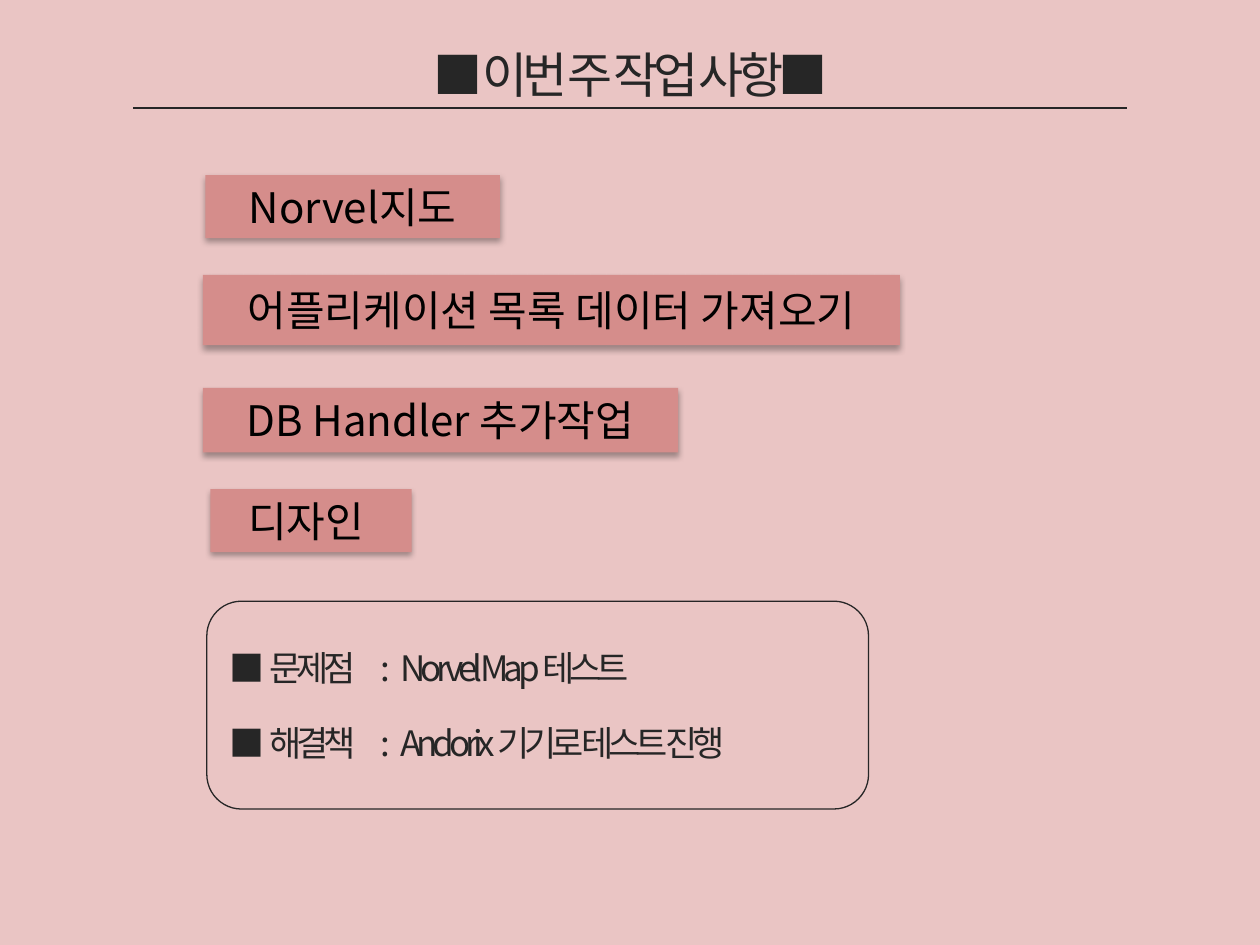
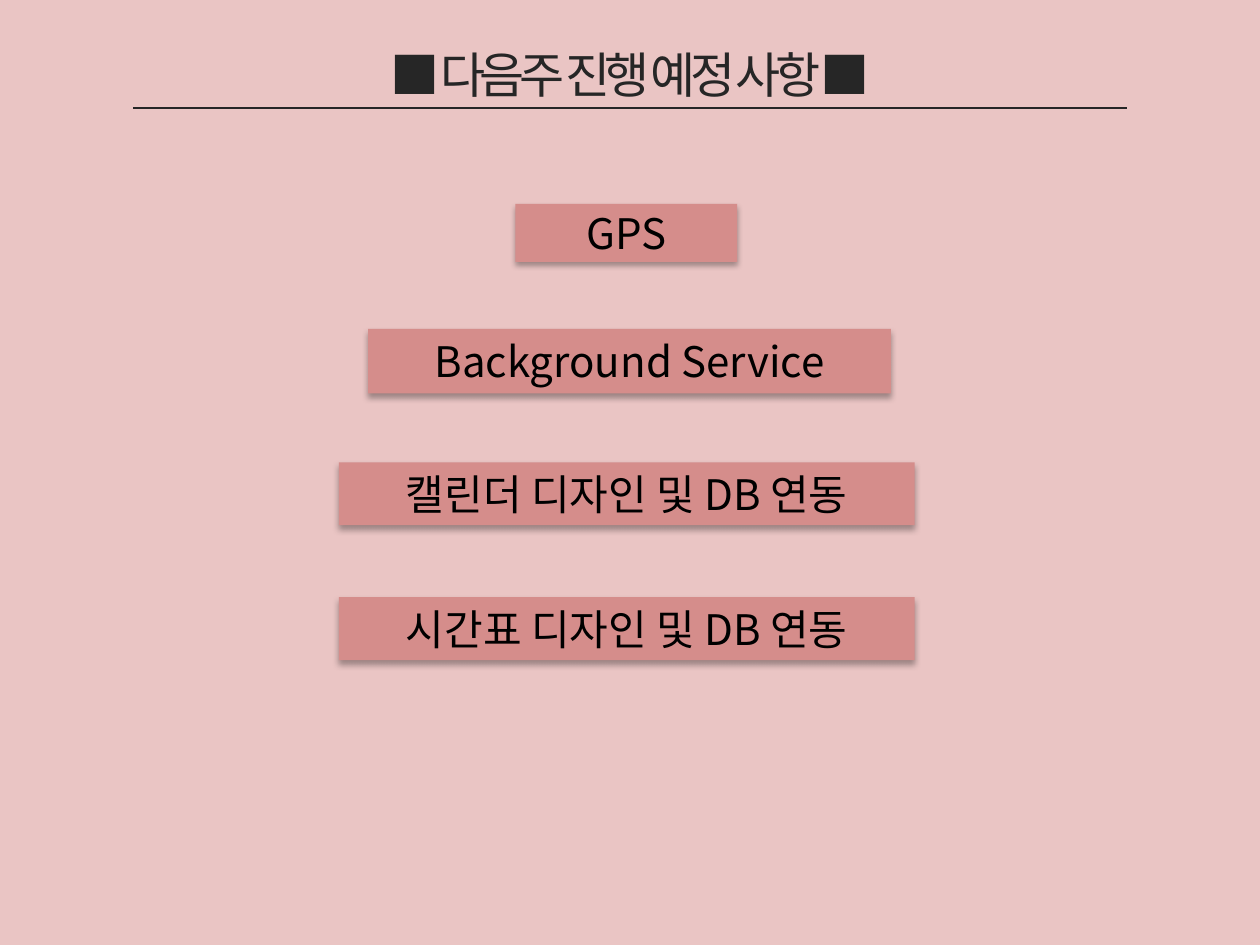
from lxml.etree import SubElement
from pptx import Presentation
from pptx.dml.color import RGBColor
from pptx.enum.shapes import MSO_CONNECTOR, MSO_SHAPE
from pptx.enum.text import MSO_ANCHOR, PP_ALIGN
from pptx.oxml.ns import qn
from pptx.util import Cm, Pt

COLORS = {"background": "EAC5C4", "label": "D58D8B", "ink": "262626", "black": "000000"}
FONT = "Noto Sans CJK KR"
TIGHT = -3
DETAIL_TABS = (0.8, 3.05, 3.45)

WORK_ITEMS = [
    ("Norvel지도", 4.14, 3.53, 5.94, 1.27),
    ("어플리케이션 목록 데이터 가져오기", 4.09, 5.54, 14.05, 1.42),
    ("DB Handler 추가작업", 4.09, 7.82, 9.58, 1.3),
    ("디자인 ", 4.24, 9.86, 4.06, 1.27),
]
PLANNED_ITEMS = [
    ("GPS", 10.39, 4.11, 4.47, 1.17),
    ("Background Service", 7.42, 6.63, 10.54, 1.3),
    ("캘린더 디자인 및 DB 연동", 6.83, 9.32, 11.61, 1.27),
    ("시간표 디자인 및 DB 연동", 6.83, 12.04, 11.61, 1.27),
]
DETAILS = [
    "■\t문제점\t:\tNorvel Map 테스트",
    "■\t해결책\t:\tAndorix 기기로 테스트 진행",
]


def color(name):
    """Return the named colour."""
    return RGBColor.from_string(COLORS[name])


def format_paragraph(paragraph, size, color_name, alignment, spacing=0):
    """Align a paragraph and style its runs, with letter spacing in points."""
    paragraph.alignment = alignment
    for run in paragraph.runs:
        run.font.size = Pt(size)
        run.font.color.rgb = color(color_name)
        run.font.name = FONT
        properties = run.font._element
        SubElement(properties, qn("a:ea"), typeface=FONT)
        if spacing:
            properties.set("spc", str(spacing * 100))


def add_box(slide, kind, left, top, width, height, fill=None, line=None):
    """Add a shape without shadow whose text is centred vertically."""
    shape = slide.shapes.add_shape(kind, Cm(left), Cm(top), Cm(width), Cm(height))
    shape.shadow.inherit = False
    if fill:
        shape.fill.solid()
        shape.fill.fore_color.rgb = color(fill)
    else:
        shape.fill.background()
    if line:
        shape.line.color.rgb = color(line)
        shape.line.width = Pt(0.75)
    else:
        shape.line.fill.background()
    text_frame = shape.text_frame
    text_frame.vertical_anchor = MSO_ANCHOR.MIDDLE
    text_frame.margin_top = text_frame.margin_bottom = 0
    return shape


def add_drop_shadow(shape):
    """Give a shape a soft shadow below it."""
    effects = shape._element.spPr.find(qn("a:effectLst"))
    shadow = SubElement(effects, qn("a:outerShdw"), blurRad=str(Pt(3.5)),
                        dist=str(Pt(2.2)), dir="5400000", rotWithShape="0")
    shade = SubElement(shadow, qn("a:srgbClr"), val=COLORS["black"])
    SubElement(shade, qn("a:alpha"), val="32000")


def add_title(slide, text):
    """Add the centred title and the rule below it."""
    title = add_box(slide, MSO_SHAPE.RECTANGLE, 5.44, 0.76, 14.53, 1.45, "background")
    title.text_frame.text = text
    format_paragraph(title.text_frame.paragraphs[0], 28, "ink", PP_ALIGN.CENTER, TIGHT)
    rule = slide.shapes.add_connector(MSO_CONNECTOR.STRAIGHT,
                                      Cm(2.69), Cm(2.18), Cm(22.71), Cm(2.18))
    rule.line.color.rgb = color("ink")
    rule.line.width = Pt(0.75)
    SubElement(rule._element.spPr, qn("a:effectLst"))


def add_label(slide, text, left, top, width, height):
    """Add a shadowed label naming one task."""
    label = add_box(slide, MSO_SHAPE.RECTANGLE, left, top, width, height, "label")
    add_drop_shadow(label)
    label.text_frame.word_wrap = False
    label.text_frame.text = text
    format_paragraph(label.text_frame.paragraphs[0], 24, "black", PP_ALIGN.CENTER)


def add_details(slide, lines):
    """Add the rounded frame with the problem and its solution in columns."""
    frame = add_box(slide, MSO_SHAPE.ROUNDED_RECTANGLE, 4.17, 12.12, 13.34, 4.19, line="ink")
    frame.text_frame.text = "\n".join(lines)
    for index, paragraph in enumerate(frame.text_frame.paragraphs):
        format_paragraph(paragraph, 20, "ink", PP_ALIGN.LEFT, TIGHT)
        paragraph.space_before = Pt(19 if index else 0)
        tabs = SubElement(paragraph._p.get_or_add_pPr(), qn("a:tabLst"))
        for position in DETAIL_TABS:
            SubElement(tabs, qn("a:tab"), pos=str(Cm(position)), algn="l")


def add_task_slide(presentation, title, items):
    """Add a slide with a title and its task labels."""
    slide = presentation.slides.add_slide(presentation.slide_layouts[6])
    slide.background.fill.solid()
    slide.background.fill.fore_color.rgb = color("background")
    add_title(slide, title)
    for item in items:
        add_label(slide, *item)
    return slide


def main():
    """Build and save the presentation."""
    presentation = Presentation()
    presentation.slide_width, presentation.slide_height = Cm(25.4), Cm(19.05)
    work_slide = add_task_slide(presentation, "■ 이번 주 작업 사항■", WORK_ITEMS)
    add_details(work_slide, DETAILS)
    add_task_slide(presentation, "■ 다음주 진행 예정 사항 ■", PLANNED_ITEMS)
    presentation.save("out.pptx")


if __name__ == "__main__":
    main()
